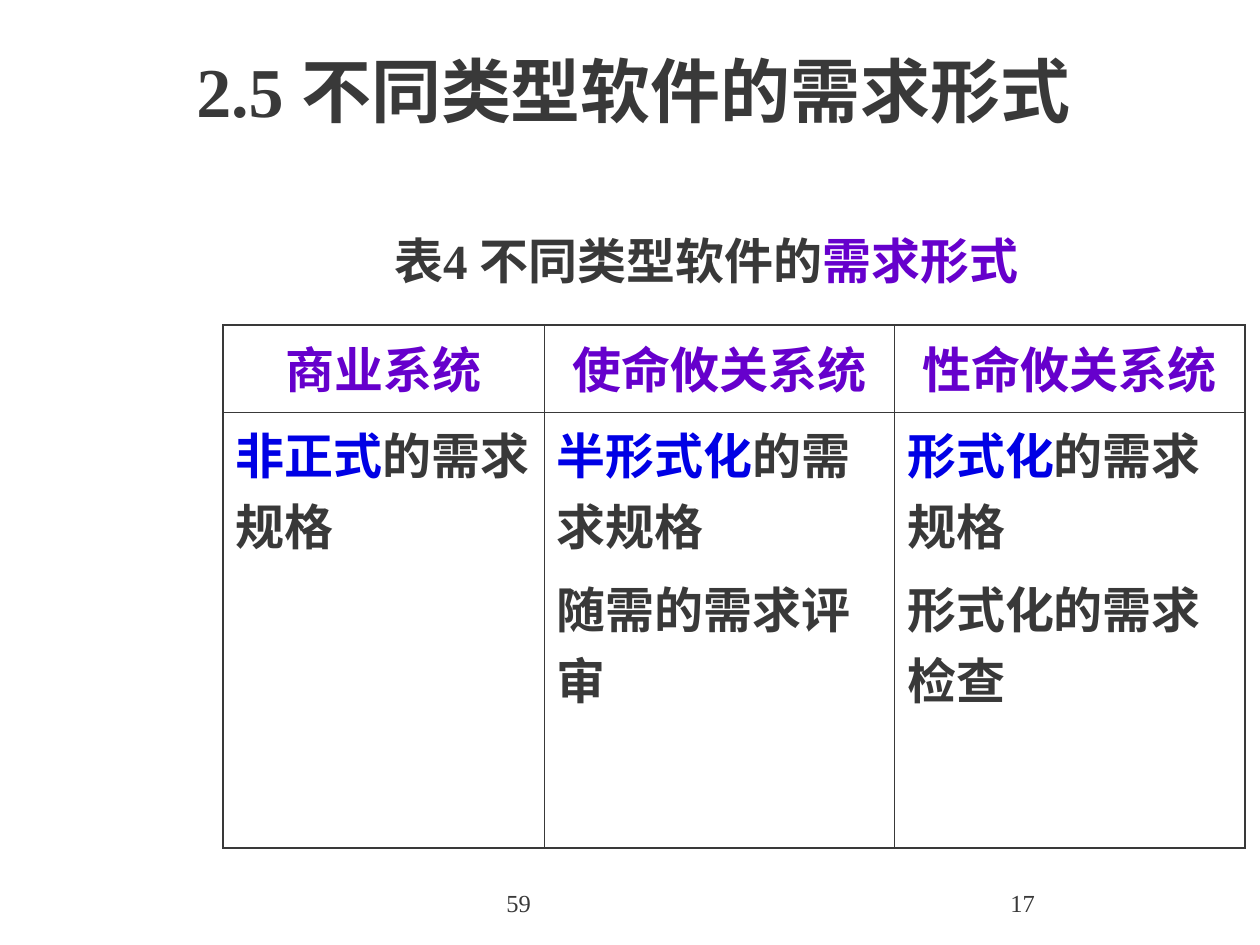
from typing import NamedTuple

from lxml.etree import SubElement
from pptx import Presentation
from pptx.dml.color import RGBColor
from pptx.enum.lang import MSO_LANGUAGE_ID
from pptx.enum.text import MSO_ANCHOR, MSO_AUTO_SIZE, PP_ALIGN
from pptx.oxml.ns import qn
from pptx.util import Inches, Pt

GREY = RGBColor(0x39, 0x39, 0x39)
PURPLE = RGBColor(0x66, 0x00, 0xCC)
BLUE = RGBColor(0x00, 0x00, 0xE5)
FONT = "Times New Roman"
OUTER_LINE, INNER_LINE = 1.08, 0.45


class Span(NamedTuple):
    text: str
    color: RGBColor = GREY


class Label(NamedTuple):
    left: float
    top: float
    width: float
    height: float
    spans: list[Span]
    size: float
    bold: bool = True
    anchor: MSO_ANCHOR = MSO_ANCHOR.TOP
    auto_size: MSO_AUTO_SIZE = MSO_AUTO_SIZE.NONE


class SystemType(NamedTuple):
    name: str
    width: float
    requirements: list[list[Span]]


LABELS = [
    Label(1.46, 0.05, 8.5, 1.32, [Span("2.5 不同类型软件的需求形式")], 40,
          anchor=MSO_ANCHOR.MIDDLE),
    Label(3.03, 1.78, 5.83, 0.57,
          [Span("表4 不同类型软件的"), Span("需求形式", PURPLE)], 28,
          auto_size=MSO_AUTO_SIZE.SHAPE_TO_FIT_TEXT),
    Label(3.92, 7, 3.17, 0.5, [Span("59")], 14, bold=False),
    Label(7.92, 7, 2.08, 0.5, [Span("17")], 14, bold=False),
]

SPECIFICATION = Span("的需求规格")
SYSTEM_TYPES = [
    SystemType("商业系统", 2.55, [[Span("非正式", BLUE), SPECIFICATION]]),
    SystemType("使命攸关系统", 2.78,
               [[Span("半形式化", BLUE), SPECIFICATION], [Span("随需的需求评审")]]),
    SystemType("性命攸关系统", 2.78,
               [[Span("形式化", BLUE), SPECIFICATION], [Span("形式化的需求检查")]]),
]
TABLE_LEFT, TABLE_TOP = 1.77, 2.58
ROW_HEIGHTS = [0.69, 3.46]


def write_spans(paragraph, spans: list[Span], size: float, bold: bool = True) -> None:
    for span in spans:
        run = paragraph.add_run()
        run.text = span.text
        run.font.name = FONT
        run.font.size = Pt(size)
        run.font.bold = bold
        run.font.color.rgb = span.color
        run.font.language_id = MSO_LANGUAGE_ID.SIMPLIFIED_CHINESE


def add_label(page, label: Label) -> None:
    box = page.shapes.add_textbox(Inches(label.left), Inches(label.top),
                                  Inches(label.width), Inches(label.height))
    frame = box.text_frame
    frame.word_wrap = True
    frame.auto_size = label.auto_size
    frame.vertical_anchor = label.anchor
    write_spans(frame.paragraphs[0], label.spans, label.size, label.bold)


def write_cell(cell, paragraphs: list[list[Span]], alignment: PP_ALIGN) -> None:
    frame = cell.text_frame
    for index, spans in enumerate(paragraphs):
        paragraph = frame.add_paragraph() if index else frame.paragraphs[0]
        paragraph.alignment = alignment
        if index:
            paragraph.space_before = Pt(7)
        write_spans(paragraph, spans, 28)


def set_borders(cell, outer_sides: dict[str, bool]) -> None:
    """Draw each side, heavier where it lies on the table's outline."""
    properties = cell._tc.get_or_add_tcPr()
    for side, is_outer in outer_sides.items():
        width = OUTER_LINE if is_outer else INNER_LINE
        line = SubElement(properties, qn(f"a:ln{side}"), w=str(int(Pt(width))))
        fill = SubElement(line, qn("a:solidFill"))
        SubElement(fill, qn("a:srgbClr"), val=str(GREY))


def add_requirements_table(page) -> None:
    width = sum(system.width for system in SYSTEM_TYPES)
    table = page.shapes.add_table(
        len(ROW_HEIGHTS), len(SYSTEM_TYPES), Inches(TABLE_LEFT), Inches(TABLE_TOP),
        Inches(width), Inches(sum(ROW_HEIGHTS))).table
    table.first_row = table.horz_banding = False
    for row, height in zip(table.rows, ROW_HEIGHTS):
        row.height = Inches(height)
    last_row, last_column = len(ROW_HEIGHTS) - 1, len(SYSTEM_TYPES) - 1
    for column, system in enumerate(SYSTEM_TYPES):
        table.columns[column].width = Inches(system.width)
        write_cell(table.cell(0, column), [[Span(system.name, PURPLE)]], PP_ALIGN.CENTER)
        write_cell(table.cell(1, column), system.requirements, PP_ALIGN.LEFT)
        for row in range(len(ROW_HEIGHTS)):
            cell = table.cell(row, column)
            set_borders(cell, {"L": column == 0, "R": column == last_column,
                               "T": row == 0, "B": row == last_row})
            cell.fill.background()


def main() -> None:
    deck = Presentation()
    deck.slide_width, deck.slide_height = Inches(10), Inches(7.5)
    page = deck.slides.add_slide(deck.slide_layouts[6])
    for label in LABELS:
        add_label(page, label)
    add_requirements_table(page)
    deck.save("out.pptx")


if __name__ == "__main__":
    main()
